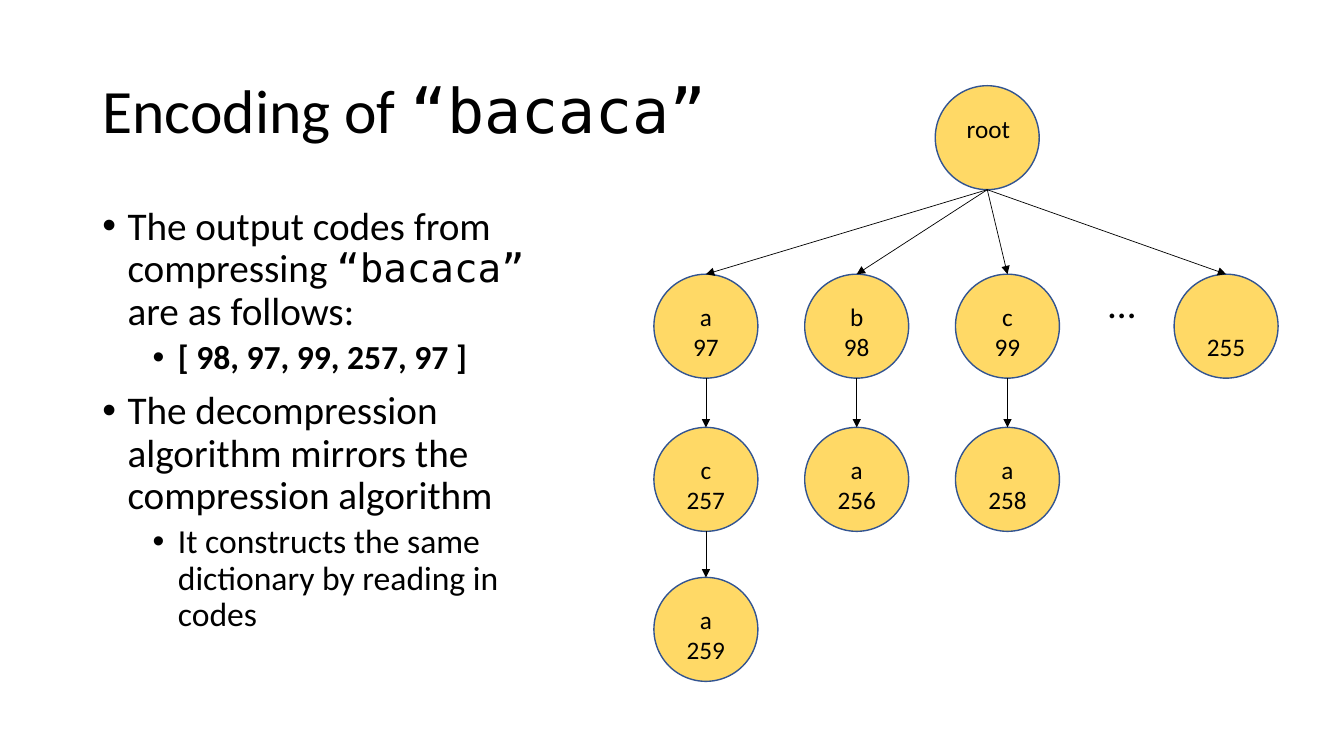
from lxml.etree import SubElement
from pptx import Presentation
from pptx.dml.color import RGBColor
from pptx.enum.shapes import MSO_CONNECTOR as Link, MSO_SHAPE as Kind
from pptx.enum.text import MSO_ANCHOR as Anchor, PP_ALIGN as Align
from pptx.oxml.ns import qn
from pptx.util import Cm, Pt

BLACK = RGBColor(0x00, 0x00, 0x00)
GOLD = RGBColor(0xFF, 0xD9, 0x66)
BLUE = RGBColor(0x32, 0x54, 0x91)

SIZE = 2.62  # node diameter
LEFT, STEP = 17.79, 3.8
COL_A, COL_B, COL_C = (LEFT + STEP * i for i in range(3))
COL_END = 30.9
ROOT_X, ROOT_Y = 24.88, 2.16
ROW_1, ROW_2, ROW_3 = 6.91, 10.77, 14.55

CODE = "“bacaca”"
BODY = [
    (0, ["The output codes from compressing ", CODE, " are as follows:"]),
    (1, ["[ 98, 97, 99, 257, 97 ]"]),
    (0, ["The decompression algorithm mirrors the compression algorithm"]),
    (1, ["It constructs the same dictionary by reading in codes"]),
]
NODES = [
    (COL_A, ROW_1, ["a", "97"]),
    (COL_B, ROW_1, ["b", "98"]),
    (COL_C, ROW_1, ["c", "99"]),
    (COL_END, ROW_1, ["255"]),
    (COL_A, ROW_2, ["c", "257"]),
    (COL_B, ROW_2, ["a", "256"]),
    (COL_C, ROW_2, ["a", "258"]),
    (COL_A, ROW_3, ["a", "259"]),
]
LINKS = [(ROOT_X, ROOT_Y, x, ROW_1) for x in (COL_A, COL_B, COL_C, COL_END)]
LINKS += [(x, ROW_1, x, ROW_2) for x in (COL_A, COL_B, COL_C)]
LINKS += [(COL_A, ROW_2, COL_A, ROW_3)]


class Deck:
    font, mono = "Calibri", "DejaVu Sans Mono"

    def __init__(self):
        self.file = Presentation()
        self.file.slide_width, self.file.slide_height = Cm(33.87), Cm(19.05)
        self.slide = self.file.slides.add_slide(self.file.slide_layouts[6])
        self.shapes = self.slide.shapes

    def frame(self, x, y, w, h, anchor=Anchor.TOP, wrap=True):
        """Add a text box and return its text frame."""
        frame = self.shapes.add_textbox(Cm(x), Cm(y), Cm(w), Cm(h)).text_frame
        frame.word_wrap = wrap
        frame.vertical_anchor = anchor
        return frame

    def add_runs(self, para, parts, size, bold=None):
        for part in parts:
            run = para.add_run()
            run.text = part
            run.font.name = self.mono if part == CODE else self.font
            run.font.size = Pt(size)
            run.font.bold = bold
            run.font.color.rgb = BLACK

    def title(self, parts):
        para = self.frame(2.33, 1.01, 29.21, 3.68, Anchor.MIDDLE).paragraphs[0]
        para.line_spacing = 0.9
        self.add_runs(para, parts, 44)

    def bullets(self, items):
        frame = self.frame(2.33, 5.08, 11.91, 12.1)
        for i, (level, parts) in enumerate(items):
            para = frame.add_paragraph() if i else frame.paragraphs[0]
            para.level = level
            para.line_spacing = 0.9
            para.space_before = Pt(5 if level else 10)
            props = para._p.get_or_add_pPr()
            props.set("marL", str(Pt(18 + 36 * level)))
            props.set("indent", str(-Pt(18)))
            SubElement(props, qn("a:buFont"), typeface="Arial")
            SubElement(props, qn("a:buChar"), char="•")
            bold = parts[0].startswith("[")
            self.add_runs(para, parts, 24 if level else 28, bold)

    def label(self, lines, box, size=18, **style):
        frame = self.frame(*box, **style)
        for i, line in enumerate(lines):
            para = frame.add_paragraph() if i else frame.paragraphs[0]
            para.alignment = Align.CENTER
            self.add_runs(para, [line], size)

    def circle(self, x, y):
        """Draw a node centred on x with its top at y."""
        shape = self.shapes.add_shape(
            Kind.OVAL, Cm(x - SIZE / 2), Cm(y), Cm(SIZE), Cm(SIZE))
        shape.shadow.inherit = False
        shape.fill.solid()
        shape.fill.fore_color.rgb = GOLD
        shape.line.color.rgb = BLUE
        shape.line.width = Pt(1)

    def node(self, x, y, lines):
        self.circle(x, y)
        wide = 0.51 + 0.33 * len(lines[-1])
        self.label(lines, (x - wide / 2, y + 0.53, wide, 1.8),
                   anchor=Anchor.BOTTOM, wrap=False)

    def arrow(self, x, y, to_x, to_y):
        """Join the foot of the node at x, y to the top of another."""
        line = self.shapes.add_connector(
            Link.STRAIGHT, Cm(x), Cm(y + SIZE), Cm(to_x), Cm(to_y))
        line.line.color.rgb = BLACK
        line.line.width = Pt(0.5)
        SubElement(line.line._get_or_add_ln(), qn("a:tailEnd"), type="triangle")
        SubElement(line._element.spPr, qn("a:effectLst"))


def main():
    deck = Deck()
    deck.title(["Encoding of ", CODE])
    deck.bullets(BODY)
    deck.circle(ROOT_X, ROOT_Y)
    deck.label(["root"], (ROOT_X - SIZE / 2 + 0.03, 2.72, SIZE, 1.52))
    for node in NODES:
        deck.node(*node)
    deck.label(["…"], (26.62, ROW_1, 3.3, 2.16), size=28)
    for link in LINKS:
        deck.arrow(*link)
    deck.file.save("out.pptx")


if __name__ == "__main__":
    main()
